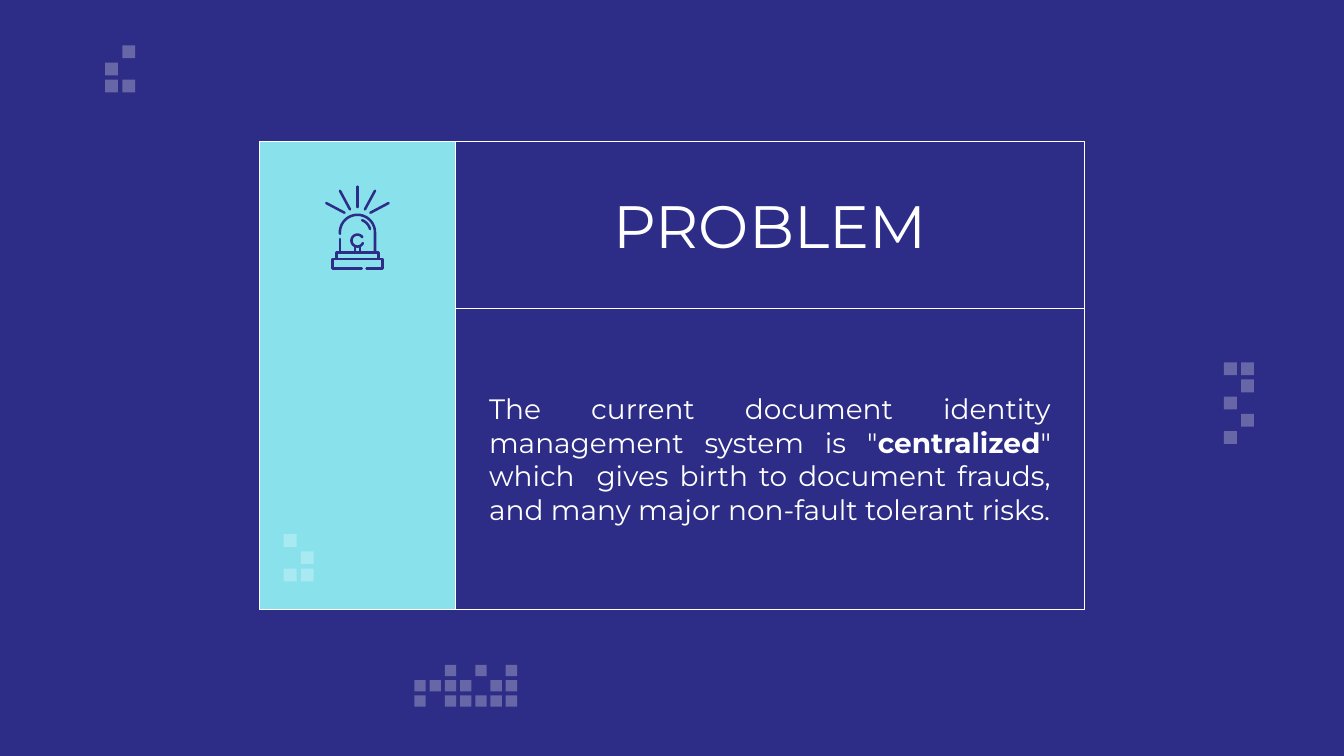
from dataclasses import dataclass
from math import cos, radians, sin

from pptx import Presentation
from pptx.dml.color import RGBColor
from pptx.enum.shapes import MSO_CONNECTOR as Connector, MSO_SHAPE as Preset
from pptx.enum.text import MSO_ANCHOR as Anchor, PP_ALIGN as Align
from pptx.oxml.ns import qn
from pptx.oxml.xmlchemy import OxmlElement
from pptx.util import Pt


@dataclass(frozen=True)
class Theme:
    navy: RGBColor = RGBColor.from_string("2D2D87")
    aqua: RGBColor = RGBColor.from_string("89E1EC")
    white: RGBColor = RGBColor.from_string("FFFFFF")
    pixel_alpha: int = 28
    font: str = "Montserrat"
    title_size: float = 32
    body_size: float = 15
    border: float = 0.75
    icon_stroke: float = 1.35


THEME = Theme()

# Pixel ornaments: left, top, pitch, square size, rows
PIXELS = [
    (655.7, 194.1, 9.2, 6.9, ["##", ".#", "#.", ".#", "#."]),
    (56.3, 24.3, 9.2, 6.9, [".#", "#.", "##"]),
    (222, 356.2, 8.15, 6.1, ["..#.#.#", "####.##", "#.#####"]),
]
PANEL_PIXELS = (152, 286.2, 9.2, 6.9, ["#.", ".#", "##"])


def add_box(slide, left, top, width, height, fill):
    shape = slide.shapes.add_shape(
        Preset.RECTANGLE, Pt(left), Pt(top), Pt(width), Pt(height))
    shape.shadow.inherit = False
    shape.fill.solid()
    shape.fill.fore_color.rgb = fill
    shape.line.color.rgb = THEME.white
    shape.line.width = Pt(THEME.border)
    return shape


def add_text(shape, runs, size, align, inset):
    frame = shape.text_frame
    frame.word_wrap = True
    frame.vertical_anchor = Anchor.MIDDLE
    frame.margin_left = frame.margin_right = Pt(inset)
    frame.margin_top = frame.margin_bottom = Pt(inset)
    paragraph = frame.paragraphs[0]
    paragraph.alignment = align
    paragraph.font.name = THEME.font
    paragraph.font.size = Pt(size)
    paragraph.font.color.rgb = THEME.white
    for text, bold in runs:
        run = paragraph.add_run()
        run.text = text
        if bold:
            run.font.bold = True


def add_pixels(slide, left, top, pitch, size, rows):
    for row, cells in enumerate(rows):
        for column, cell in enumerate(cells):
            if cell != "#":
                continue
            square = add_box(slide, left + column * pitch, top + row * pitch,
                             size, size, THEME.white)
            square.line.fill.background()
            alpha = OxmlElement("a:alpha")
            alpha.set("val", str(THEME.pixel_alpha * 1000))
            square._element.spPr.find(qn("a:solidFill"))[0].append(alpha)


def style_stroke(shape):
    shape.line.color.rgb = THEME.navy
    shape.line.width = Pt(THEME.icon_stroke)
    properties = shape._element.spPr
    outline = properties.find(qn("a:ln"))
    outline.set("cap", "rnd")
    outline.append(OxmlElement("a:round"))
    properties.append(OxmlElement("a:effectLst"))


def add_line(slide, x1, y1, x2, y2):
    style_stroke(slide.shapes.add_connector(
        Connector.STRAIGHT, Pt(x1), Pt(y1), Pt(x2), Pt(y2)))


def add_outline(slide, points, close=False):
    points = [(Pt(x), Pt(y)) for x, y in points]
    builder = slide.shapes.build_freeform(*points[0])
    builder.add_line_segments(points[1:], close=close)
    shape = builder.convert_to_shape()
    shape.fill.background()
    style_stroke(shape)


def arc(x, y, radius, start, end, steps=24):
    angles = [radians(start + (end - start) * i / steps) for i in range(steps + 1)]
    return [(x + radius * cos(a), y + radius * sin(a)) for a in angles]


def add_siren(slide, x):
    # Rays, mirrored about the middle
    add_line(slide, x, 100, x, 111)
    for side in (-1, 1):
        add_line(slide, x + side * 9.4, 102.2, x + side * 4, 112.2)
        add_line(slide, x + side * 16.7, 108.8, x + side * 6.9, 114)

    # Dome with its gap and highlight
    dome_y, radius, base_y = 124.5, 9.4, 135.2
    add_outline(slide, [(x - radius, 125.3), *arc(x, dome_y, radius, 180, 360),
                        (x + radius, base_y)])
    add_line(slide, x - radius, 128, x - radius, base_y)
    add_outline(slide, arc(x, dome_y, 7, -69, -15))

    # Bulb and stem
    add_outline(slide, arc(x, 128.9, 3.2, 25, 325))
    for side in (-1, 1):
        add_line(slide, x + side * 1.4, 132.2, x + side * 1.4, base_y)

    # Two-step base
    add_outline(slide, [(x - 11.3, base_y), (x + 11.3, base_y),
                        (x + 11.3, 138.7), (x - 11.3, 138.7)], close=True)
    add_outline(slide, [(x + 2.3, 143.9), (x - 13.3, 143.9), (x - 13.3, 138.7),
                        (x + 13.3, 138.7), (x + 13.3, 143.9), (x + 4.9, 143.9)])


def main():
    presentation = Presentation()
    presentation.slide_width, presentation.slide_height = Pt(720), Pt(405)
    slide = presentation.slides.add_slide(presentation.slide_layouts[6])
    slide.background.fill.solid()
    slide.background.fill.fore_color.rgb = THEME.navy

    # Background ornaments
    for ornament in PIXELS:
        add_pixels(slide, *ornament)

    # Card: title and body beside a side panel
    left, top, panel_width, text_width = 139, 75.8, 105, 337
    title_height, body_height = 89.5, 161.2
    text_left = left + panel_width
    title = add_box(slide, text_left, top, text_width, title_height, THEME.navy)
    add_text(title, [("PROBLEM", False)], THEME.title_size, Align.CENTER, 7.2)
    body = add_box(slide, text_left, top + title_height, text_width, body_height,
                   THEME.navy)
    add_text(body, [
        ('The current document identity management system is "', False),
        ("centralized", True),
        ('" which  gives birth to document frauds, and many major '
         "non-fault tolerant risks.", False),
    ], THEME.body_size, Align.JUSTIFY, 18)
    add_box(slide, left, top, panel_width, title_height + body_height, THEME.aqua)

    # Panel decoration
    add_siren(slide, left + panel_width / 2)
    add_pixels(slide, *PANEL_PIXELS)

    presentation.save("out.pptx")


if __name__ == "__main__":
    main()
